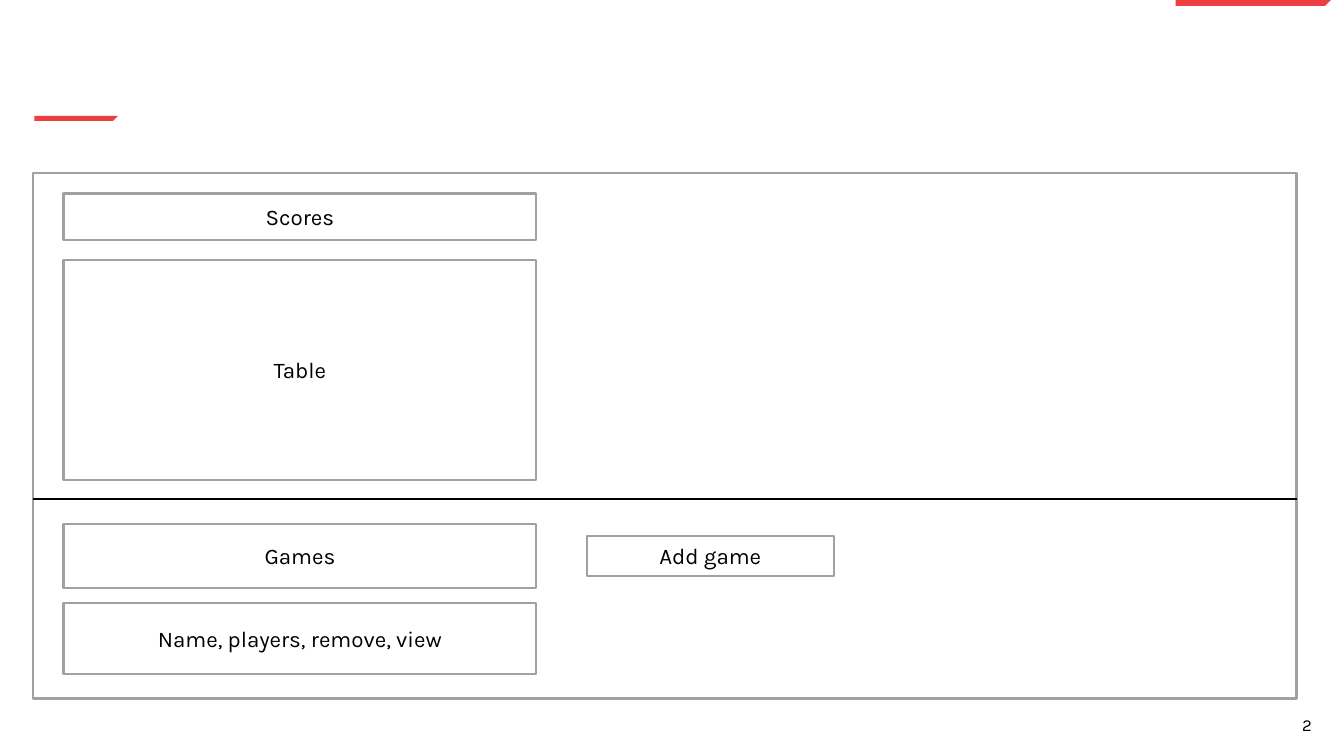
from pptx import Presentation
from pptx.dml.color import RGBColor
from pptx.enum.shapes import MSO_CONNECTOR, MSO_SHAPE
from pptx.enum.text import MSO_ANCHOR, PP_ALIGN
from pptx.util import Inches, Pt
from lxml.etree import SubElement
from pptx.oxml.ns import qn

CELL = Inches(0.1)
RED, GREY, BLACK = "EF3E42", "9FA1A4", "000000"
LEFT, WIDE = 6.3, 46.9


def grid(*cells):
    return [round(cell * CELL) for cell in cells]


def tint(color, code):
    color.rgb = RGBColor.from_string(code)


def write(frame, words, size, align):
    para = frame.paragraphs[0]
    para.alignment = align
    run = para.add_run()
    run.text = words
    run.font.name = "Karla"
    run.font.size = Pt(size)
    tint(run.font.color, BLACK)


def add_box(slide, col, row, cols, rows, words=None):
    box = slide.shapes.add_shape(MSO_SHAPE.RECTANGLE, *grid(col, row, cols, rows))
    box.shadow.inherit = False
    box.fill.background()
    tint(box.line.color, GREY)
    box.line.width = Pt(1.5)
    if words:
        box.text_frame.word_wrap = True
        box.text_frame.vertical_anchor = MSO_ANCHOR.MIDDLE
        write(box.text_frame, words, 16, PP_ALIGN.CENTER)


def add_flag(slide, col, row, cols, rows):
    x, y, right, base = grid(col, row, col + cols, row + rows)
    slant = base - y
    pen = slide.shapes.build_freeform(x, y)
    pen.add_line_segments([(right, y), (right - slant, base), (x, base)])
    flag = pen.convert_to_shape()
    flag.shadow.inherit = False
    flag.fill.solid()
    tint(flag.fill.fore_color, RED)
    flag.line.fill.background()


def add_rule(slide, col, row, end):
    rule = slide.shapes.add_connector(
        MSO_CONNECTOR.STRAIGHT, *grid(col, row, end, row))
    tint(rule.line.color, BLACK)
    rule.line.width = Pt(1.5)
    SubElement(rule.element.spPr, qn("a:effectLst"))


def add_page(slide, col, row, cols, rows, words):
    frame = slide.shapes.add_textbox(*grid(col, row, cols, rows)).text_frame
    frame.word_wrap = True
    frame.margin_left = frame.margin_right = 0
    frame.margin_top = frame.margin_bottom = 0
    write(frame, words, 12, PP_ALIGN.RIGHT)


def main():
    deck = Presentation()
    deck.slide_width, deck.slide_height = Inches(13.33), Inches(7.5)
    slide = deck.slides.add_slide(deck.slide_layouts[6])

    add_flag(slide, 116.6, 0, 15.4, 0.6)
    add_flag(slide, 3.4, 11.5, 8.3, 0.5)
    add_page(slide, 124.3, 70.9, 5.8, 2, "2")

    add_box(slide, 3.3, 17.2, 125.3, 52.1)
    add_rule(slide, 3.3, 49.5, 128.6)
    for row, rows, words in [
        (19.2, 4.6, "Scores"),
        (25.8, 21.8, "Table"),
        (52, 6.3, "Games"),
        (59.8, 7.1, "Name, players, remove, view"),
    ]:
        add_box(slide, LEFT, row, WIDE, rows, words)
    add_box(slide, 58.2, 53.2, 24.5, 3.9, "Add game")

    deck.save("out.pptx")


if __name__ == "__main__":
    main()
